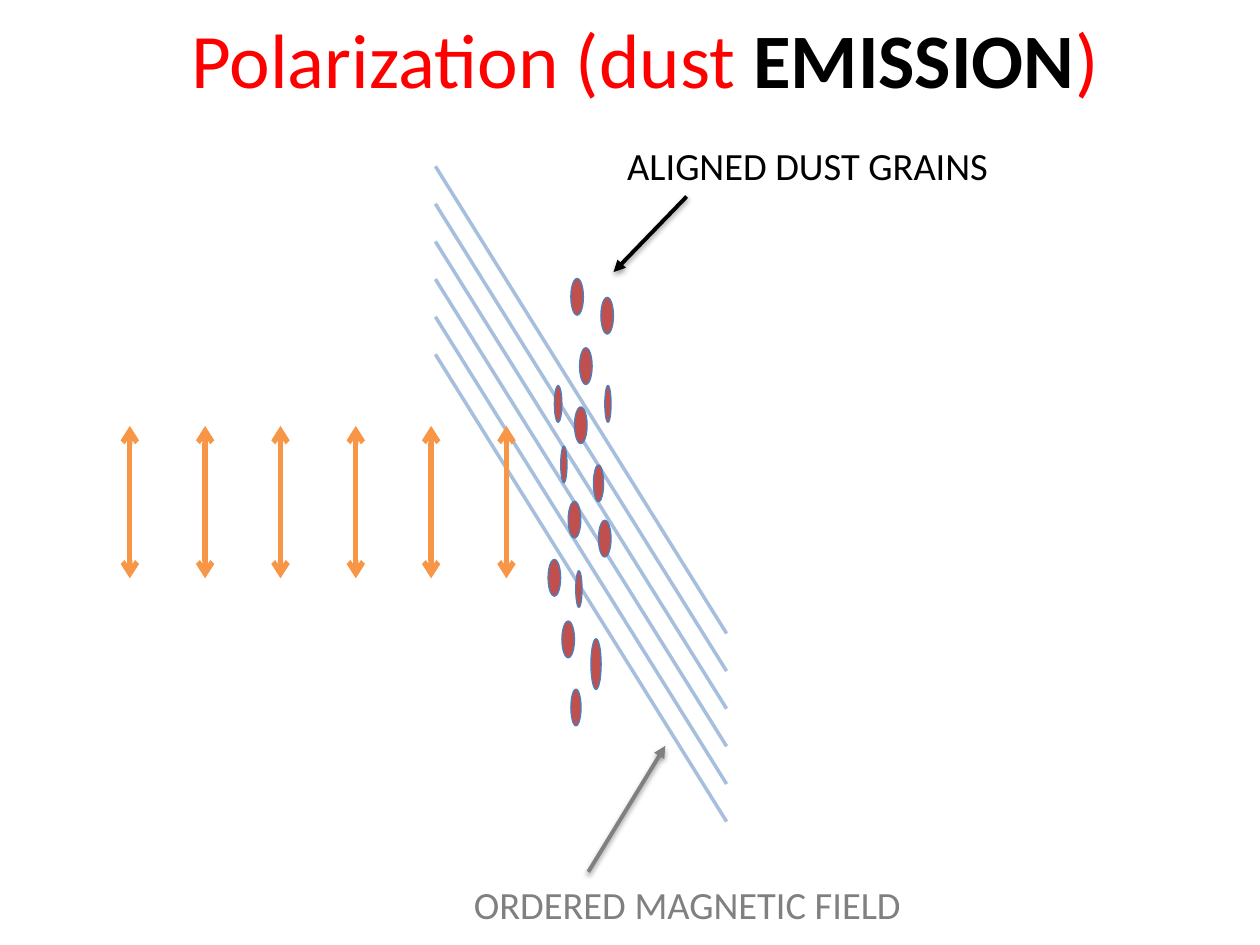
import pptx
import pptx.dml.color
import pptx.enum.shapes
import pptx.enum.text
import pptx.oxml.ns
import pptx.util
from lxml import etree

Pt = pptx.util.Pt
RGBColor = pptx.dml.color.RGBColor
qn = pptx.oxml.ns.qn

RED = RGBColor(0xFF, 0x00, 0x00)
BLACK = RGBColor(0x00, 0x00, 0x00)
GREY = RGBColor(0x80, 0x80, 0x80)
FIELD_BLUE = RGBColor(0x4F, 0x81, 0xBD)
GRAIN_RED = RGBColor(0xC0, 0x50, 0x4D)
GRAIN_EDGE = RGBColor(0x4B, 0x7E, 0xBC)
WAVE_ORANGE = RGBColor(0xF7, 0x96, 0x46)

# Grain offsets from the cloud's corner, with width and height
GRAINS = [
    (3.6, 61.2, 4.3, 21), (15.1, 73.4, 7.2, 21), (25.9, 106.6, 5.8, 21),
    (32.4, 61.2, 3.6, 21), (7.2, 95.8, 3.6, 21), (11.5, 127.4, 7.2, 21),
    (28.8, 138.2, 7.2, 21), (0, 160.6, 7.2, 21), (15.8, 167, 3.6, 21),
    (7.9, 195.8, 7.2, 21), (24.5, 205.9, 5.8, 29), (13, 234.7, 5.8, 21),
    (13, 0, 7.2, 21), (30.2, 10.8, 7.2, 21), (18, 39.6, 7.2, 21),
]


def add_text(paragraph, text, *, size, color, bold=False):
    run = paragraph.add_run()
    run.text = text
    run.font.name = "Calibri"
    run.font.size = Pt(size)
    run.font.bold = bold
    run.font.color.rgb = color


def add_line(slide, start, end, color, width, *, head=None, tail=None, alpha=None, shadow=False):
    line = slide.shapes.add_connector(
        pptx.enum.shapes.MSO_CONNECTOR.STRAIGHT, *map(Pt, start + end))
    line.line.color.rgb = color
    line.line.width = Pt(width)
    properties = line._element.spPr
    outline = properties.find(qn("a:ln"))
    if alpha:
        etree.SubElement(outline.find(".//" + qn("a:srgbClr")), qn("a:alpha"), val=str(alpha * 1000))
    for tag, kind in (("a:headEnd", head), ("a:tailEnd", tail)):
        if kind:
            etree.SubElement(outline, qn(tag), type=kind)
    effects = etree.SubElement(properties, qn("a:effectLst"))
    if shadow:
        outer = etree.SubElement(effects, qn("a:outerShdw"), blurRad="40000", dist="20000",
                                 dir="5400000", rotWithShape="0")
        shade = etree.SubElement(outer, qn("a:srgbClr"), val=str(BLACK))
        etree.SubElement(shade, qn("a:alpha"), val="38000")


def add_title(slide, left, top, width, height):
    title = slide.shapes.title
    title.left, title.top, title.width, title.height = map(Pt, (left, top, width, height))
    title.text_frame.vertical_anchor = pptx.enum.text.MSO_ANCHOR.MIDDLE
    paragraph = title.text_frame.paragraphs[0]
    paragraph.alignment = pptx.enum.text.PP_ALIGN.CENTER
    add_text(paragraph, "Polarization (dust ", size=44, color=RED)
    add_text(paragraph, "EMISSION", size=44, color=BLACK, bold=True)
    add_text(paragraph, ")", size=44, color=RED)


def add_magnetic_field(slide, left, top, width, height, count=6, gap=21.5):
    drop = height - (count - 1) * gap
    for i in range(count):
        y = top + i * gap
        add_line(slide, (left, y), (left + width, y + drop), FIELD_BLUE, 2, alpha=49)


def add_dust_grains(slide, left, top):
    for dx, dy, width, height in GRAINS:
        grain = slide.shapes.add_shape(
            pptx.enum.shapes.MSO_SHAPE.OVAL, *map(Pt, (left + dx, top + dy, width, height)))
        grain.shadow.inherit = False
        grain.fill.solid()
        grain.fill.fore_color.rgb = GRAIN_RED
        grain.line.color.rgb = GRAIN_EDGE
        grain.line.width = Pt(0.75)


def add_polarized_waves(slide, left, top, width, height, count=6):
    for i in range(count):
        x = left + i * width / (count - 1)
        add_line(slide, (x, top), (x, top + height), WAVE_ORANGE, 3, head="arrow", tail="arrow")


def add_callout(slide, left, top, width, height, text, color, tip, end):
    add_line(slide, tip, end, color, 2.25, head="triangle", shadow=True)
    label = slide.shapes.add_textbox(*map(Pt, (left, top, width, height)))
    label.text_frame.word_wrap = True
    label.text_frame.auto_size = pptx.enum.text.MSO_AUTO_SIZE.SHAPE_TO_FIT_TEXT
    paragraph = label.text_frame.paragraphs[0]
    paragraph.alignment = pptx.enum.text.PP_ALIGN.CENTER
    add_text(paragraph, text, size=22, color=color)


def main():
    presentation = pptx.Presentation()
    presentation.slide_width, presentation.slide_height = Pt(720), Pt(540)
    slide = presentation.slides.add_slide(presentation.slide_layouts[5])

    add_magnetic_field(slide, 248.8, 95, 166.4, 374.5)
    add_title(slide, 44.6, -12.2, 648, 90)
    add_callout(slide, 324, 77.8, 275, 33.8, "ALIGNED DUST GRAINS", BLACK,
                tip=(350.6, 155.5), end=(392.4, 112.3))
    add_dust_grains(slide, 313.2, 159.1)
    add_polarized_waves(slide, 74.2, 243.4, 215.2, 87.1)
    add_callout(slide, 241.2, 499.7, 303.1, 33.8, "ORDERED MAGNETIC FIELD", GREY,
                tip=(380.2, 426.2), end=(336.2, 498.2))

    presentation.save("out.pptx")


if __name__ == "__main__":
    main()
